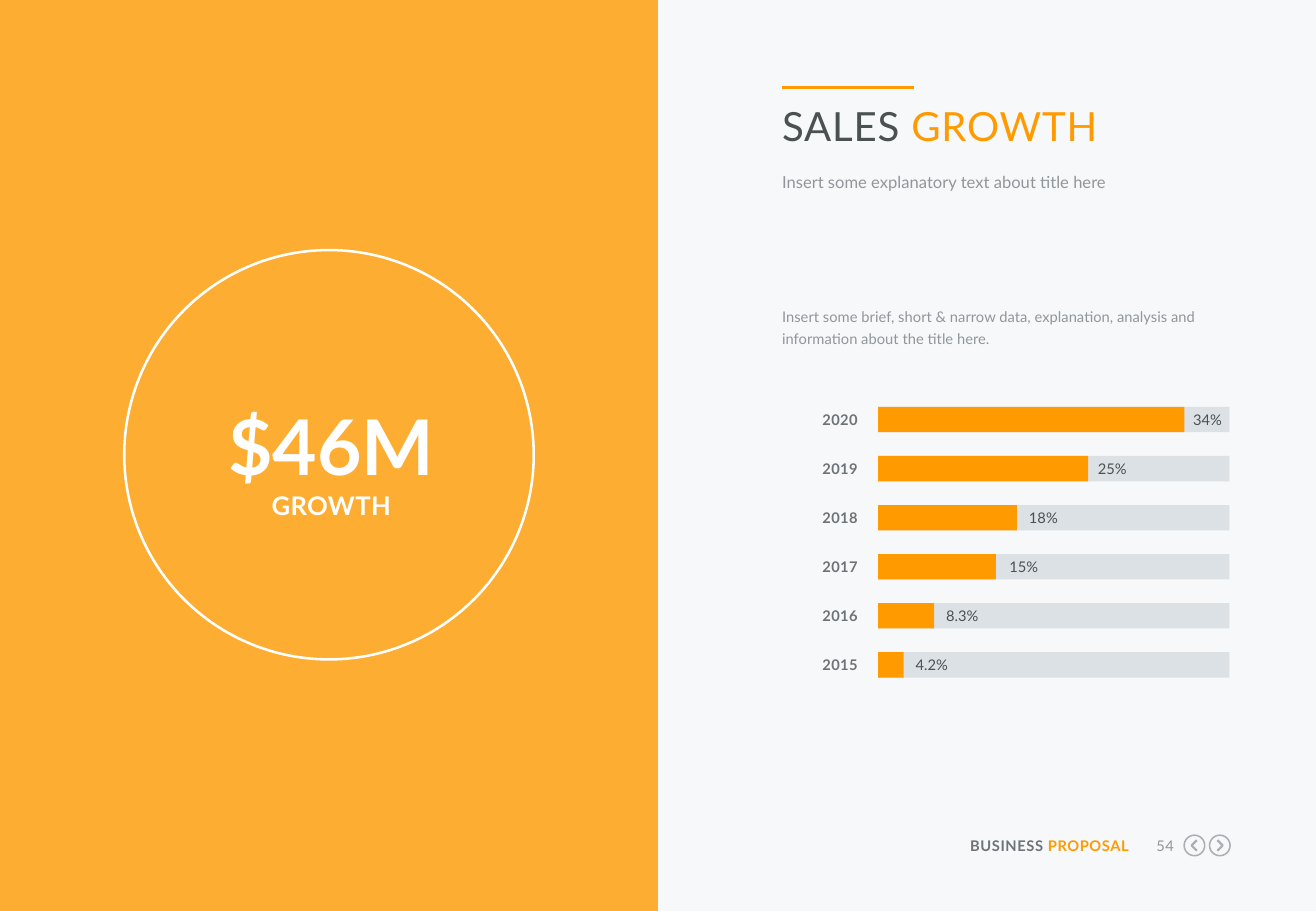
from lxml.etree import SubElement
from pptx import Presentation
from pptx.dml.color import RGBColor
from pptx.enum.shapes import MSO_CONNECTOR, MSO_SHAPE
from pptx.enum.text import MSO_AUTO_SIZE, PP_ALIGN
from pptx.oxml.ns import qn
from pptx.util import Cm, Pt

ORANGE = RGBColor(0xFF, 0x9B, 0x00)
WHITE = RGBColor(0xFF, 0xFF, 0xFF)
PAPER = RGBColor(0xF6, 0xF8, 0xFA)
TRACK = RGBColor(0xDC, 0xE1, 0xE6)
CHARCOAL = RGBColor(0x4B, 0x50, 0x50)
SLATE = RGBColor(0x6E, 0x73, 0x78)
GREY = RGBColor(0x91, 0x96, 0x9B)
ICON_GREY = RGBColor(0xAA, 0xAF, 0xB4)

FONT = "Lato"
SMALL = 8.7

TITLE = [("SALES ", CHARCOAL), ("GROWTH", ORANGE)]
SUBTITLE = [("Insert some explanatory text about title here", GREY)]
INTRO = [("Insert some brief, short & narrow data, explanation, "
          "analysis and information about the title here.", GREY)]
AMOUNT = [("$46M", WHITE)]
AMOUNT_CAPTION = [("GROWTH", WHITE)]
FOOTER = [("BUSINESS ", SLATE), ("PROPOSAL", ORANGE)]
PAGE_NUMBER = [("54", GREY)]

# year, share, bar length and label gap in centimetres
YEARS = [
    ("2020", "34%", 6.4, 0.18),
    ("2019", "25%", 4.39, 0.2),
    ("2018", "18%", 2.9, 0.25),
    ("2017", "15%", 2.46, 0.28),
    ("2016", "8.3%", 1.17, 0.25),
    ("2015", "4.2%", 0.53, 0.25),
]

SLIDE_WIDTH, SLIDE_HEIGHT = 27.51, 19.05
PANEL_WIDTH = SLIDE_WIDTH / 2
RING_SIZE, RING_TOP = 8.56, 5.23
AMOUNT_WIDTH = 5.74
COLUMN_LEFT, COLUMN_WIDTH = 16.35, 9.38
TRACK_LEFT, TRACK_TOP, TRACK_WIDTH = 18.36, 8.51, 7.34
BAR_HEIGHT, ROW_PITCH = 0.53, 1.026
LABEL_INSET, LABEL_HEIGHT = 0.08, 0.38
BUTTON_SIZE, BUTTON_Y = 0.43, 17.68
BUTTONS = [(24.97, -1), (25.5, 1)]

deck = Presentation()
deck.slide_width, deck.slide_height = Cm(SLIDE_WIDTH), Cm(SLIDE_HEIGHT)
slide = deck.slides.add_slide(deck.slide_layouts[6])
slide.background.fill.solid()
slide.background.fill.fore_color.rgb = PAPER


def add_text(left, top, width, height, parts, size=SMALL, bold=False,
             align=PP_ALIGN.LEFT, line_spacing=None, tracking=0):
    frame = slide.shapes.add_textbox(
        Cm(left), Cm(top), Cm(width), Cm(height)).text_frame
    frame.margin_left = frame.margin_right = 0
    frame.margin_top = frame.margin_bottom = 0
    frame.word_wrap = True
    frame.auto_size = MSO_AUTO_SIZE.SHAPE_TO_FIT_TEXT
    paragraph = frame.paragraphs[0]
    paragraph.alignment = align
    paragraph.line_spacing = line_spacing
    for words, color in parts:
        run = paragraph.add_run()
        run.text = words
        run.font.name = FONT
        run.font.size = Pt(size)
        run.font.bold = bold
        run.font.color.rgb = color
        if tracking:
            run._r.get_or_add_rPr().set("spc", str(round(tracking * 100)))


def add_block(left, top, width, height, color):
    block = slide.shapes.add_shape(
        MSO_SHAPE.RECTANGLE, Cm(left), Cm(top), Cm(width), Cm(height))
    block.shadow.inherit = False
    block.fill.solid()
    block.fill.fore_color.rgb = color
    block.line.fill.background()
    return block


def outline(shape, color, weight):
    shape.shadow.inherit = False
    shape.fill.background()
    shape.line.color.rgb = color
    shape.line.width = Pt(weight)


def add_ring(center_x, center_y, size, color, weight):
    ring = slide.shapes.add_shape(
        MSO_SHAPE.OVAL, Cm(center_x - size / 2), Cm(center_y - size / 2),
        Cm(size), Cm(size))
    outline(ring, color, weight)


add_text(20.12, 17.5, 3.48, LABEL_HEIGHT, FOOTER, bold=True,
         align=PP_ALIGN.RIGHT, tracking=0.3)
add_text(23.9, 17.5, 0.64, LABEL_HEIGHT, PAGE_NUMBER,
         align=PP_ALIGN.RIGHT, tracking=0.3)
for button_x, direction in BUTTONS:
    add_ring(button_x, BUTTON_Y, BUTTON_SIZE, ICON_GREY, 0.9)
    tail_x, tip_x = button_x - 0.05 * direction, button_x + 0.06 * direction
    chevron = slide.shapes.build_freeform(Cm(tail_x), Cm(BUTTON_Y - 0.11))
    chevron.add_line_segments(
        [(Cm(tip_x), Cm(BUTTON_Y)), (Cm(tail_x), Cm(BUTTON_Y + 0.11))],
        close=False)
    outline(chevron.convert_to_shape(), ICON_GREY, 1.3)

panel = add_block(0, 0, PANEL_WIDTH, SLIDE_HEIGHT, ORANGE)
panel_color = panel.fill._xPr.find(qn("a:solidFill"))[0]
SubElement(panel_color, qn("a:alpha")).set("val", "80000")

for row, (year, share, bar_length, label_gap) in enumerate(YEARS):
    top = TRACK_TOP + row * ROW_PITCH
    add_text(16.33, top + LABEL_INSET, 1.6, LABEL_HEIGHT, [(year, SLATE)],
             bold=True, align=PP_ALIGN.RIGHT, tracking=0.2)
    add_block(TRACK_LEFT, top, TRACK_WIDTH, BAR_HEIGHT, TRACK)
    add_block(TRACK_LEFT, top, bar_length, BAR_HEIGHT, ORANGE)
    add_text(TRACK_LEFT + bar_length + label_gap, top + LABEL_INSET,
             0.74, LABEL_HEIGHT, [(share, CHARCOAL)])

add_ring(PANEL_WIDTH / 2, RING_TOP + RING_SIZE / 2, RING_SIZE, WHITE, 1.5)
amount_left = (PANEL_WIDTH - AMOUNT_WIDTH) / 2 + 0.05
add_text(amount_left, 7.95, AMOUNT_WIDTH, 2.34, AMOUNT, 45.5, True,
         PP_ALIGN.CENTER, 1.2)
add_text(amount_left, 10.24, AMOUNT_WIDTH, 0.66, AMOUNT_CAPTION, 15.2, True,
         PP_ALIGN.CENTER, tracking=0.2)

add_text(COLUMN_LEFT, 6.32, COLUMN_WIDTH, 0.97, INTRO, line_spacing=1.3)
add_text(COLUMN_LEFT, 2.13, COLUMN_WIDTH, 1.02, TITLE, 23.8, tracking=0.5)
add_text(COLUMN_LEFT, 3.58, COLUMN_WIDTH, 0.43, SUBTITLE, 9.8,
         line_spacing=Pt(12))
title_rule = slide.shapes.add_connector(
    MSO_CONNECTOR.STRAIGHT, Cm(COLUMN_LEFT), Cm(1.83), Cm(19.1), Cm(1.83))
title_rule.line.color.rgb = ORANGE
title_rule.line.width = Pt(2.25)
SubElement(title_rule._element.spPr, qn("a:effectLst"))

deck.save("out.pptx")
